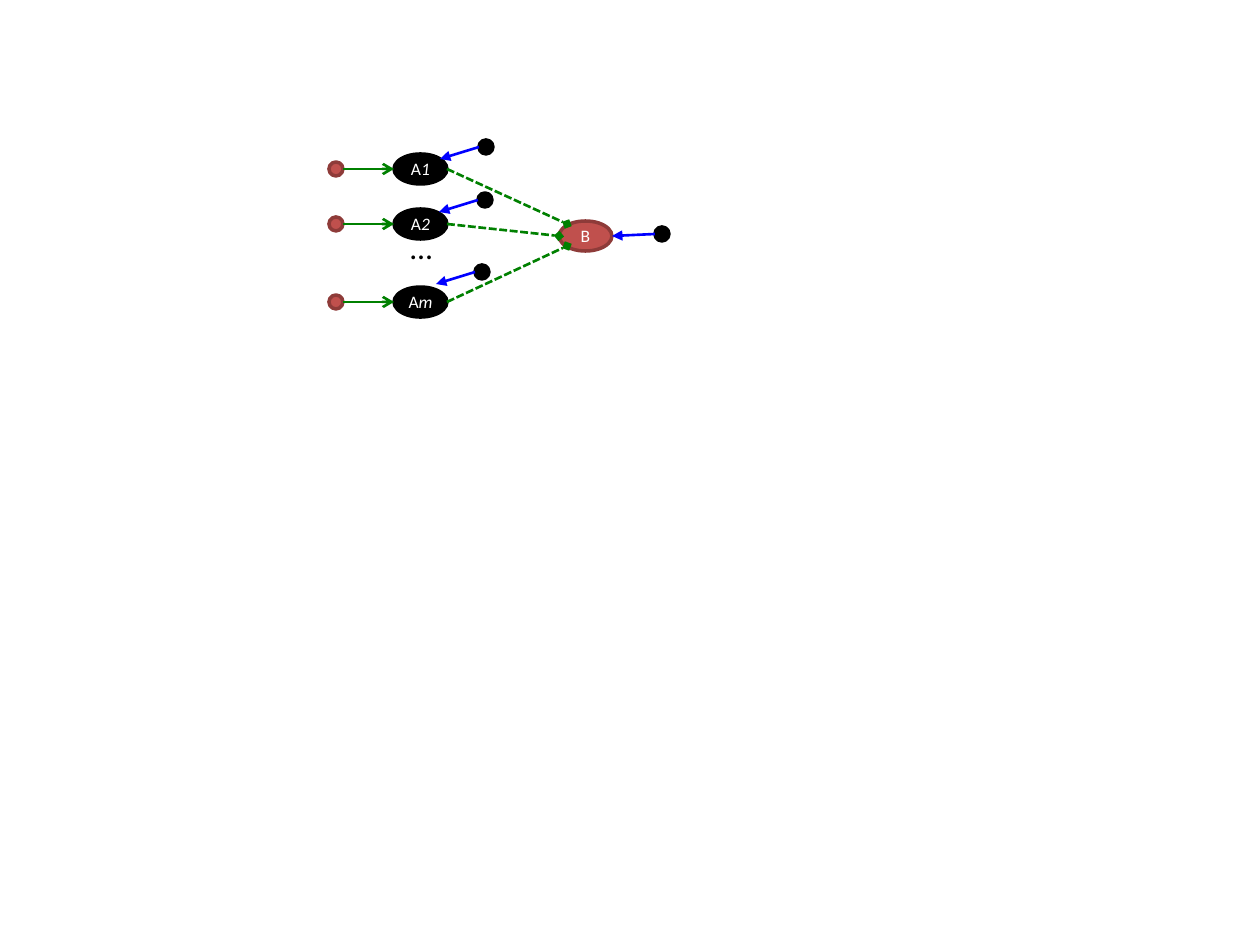
from pptx import Presentation
from pptx.dml.color import RGBColor
from pptx.enum.dml import MSO_LINE
from pptx.enum.shapes import MSO_CONNECTOR, MSO_SHAPE
from pptx.enum.text import MSO_ANCHOR, MSO_AUTO_SIZE, PP_ALIGN
from pptx.oxml.ns import qn
from pptx.util import Inches, Pt
from lxml import etree

PX = Inches(1) / 126
OVAL = MSO_SHAPE.OVAL
LINE = MSO_CONNECTOR.STRAIGHT
DASH = MSO_LINE.SQUARE_DOT
MIDDLE = MSO_ANCHOR.MIDDLE
GROW = MSO_AUTO_SIZE.SHAPE_TO_FIT_TEXT
CENTER = PP_ALIGN.CENTER
FONT = "Calibri"
COLORS = {
    "black": "000000",
    "white": "FFFFFF",
    "red": "C0504D",
    "rim": "8E3B39",
    "green": "008000",
    "blue": "0000FF",
}
NODE_W, NODE_H, DOT = 53, 30, 14
NODE_X, HUB_X, SEED_X = 394, 559, 329
HUB_Y = 236


def emu(px):
    return round(px * PX)


def color(name):
    return RGBColor.from_string(COLORS[name])


def style(run, size, name):
    run.font.name = FONT
    run.font.size = Pt(size)
    run.font.color.rgb = color(name)


def add_oval(slide, x, y, wide, high, fill, rim):
    oval = slide.shapes.add_shape(OVAL, emu(x), emu(y), emu(wide), emu(high))
    oval.shadow.inherit = False
    oval.fill.solid()
    oval.fill.fore_color.rgb = color(fill)
    oval.line.color.rgb = color(rim)
    oval.line.width = Pt(2)
    return oval


def add_node(slide, x, mid, fill, rim, label, index=""):
    node = add_oval(slide, x, mid - NODE_H / 2, NODE_W, NODE_H, fill, rim)
    frame = node.text_frame
    frame.margin_left = frame.margin_right = emu(5)
    frame.margin_top = frame.margin_bottom = 0
    frame.vertical_anchor = MIDDLE
    frame.text = label
    para = frame.paragraphs[0]
    para.alignment = CENTER
    if index:
        tail = para.add_run()
        tail.text = index
        tail.font.italic = True
    for run in para.runs:
        style(run, 10, "white")


def add_dot(slide, x, y, fill, rim):
    add_oval(slide, x, y, DOT, DOT, fill, rim)


def add_arrow(slide, start, end, tint, head, dash=None):
    ends = [emu(v) for v in (*start, *end)]
    arrow = slide.shapes.add_connector(LINE, *ends)
    arrow.line.color.rgb = color(tint)
    arrow.line.width = Pt(1.5)
    if dash:
        arrow.line.dash_style = dash
    props = arrow.line._get_or_add_ln()
    etree.SubElement(props, qn("a:tailEnd"), type=head)
    etree.SubElement(arrow._element.spPr, qn("a:effectLst"))


def add_input(slide, x, y, end):
    add_dot(slide, x, y, "black", "black")
    add_arrow(slide, (x, y + DOT / 2), end, "blue", "triangle")


def add_dots(slide):
    box = slide.shapes.add_textbox(emu(398), emu(222), emu(40), emu(50))
    frame = box.text_frame
    frame.word_wrap = True
    frame.auto_size = GROW
    frame.text = "…"
    style(frame.paragraphs[0].runs[0], 18, "black")


def main():
    deck = Presentation()
    deck.slide_width, deck.slide_height = Inches(10), Inches(7.5)
    slide = deck.slides.add_slide(deck.slide_layouts[6])

    rows = [
        ("1", 169, (479, 140), (567, 224)),
        ("2", 224, (478, 193), (HUB_X, HUB_Y)),
        ("m", 302, (475, 265), (567, 246)),
    ]
    for index, mid, _, _ in rows:
        add_node(slide, NODE_X, mid, "black", "black", "A", index)
        add_dot(slide, SEED_X, mid - DOT / 2, "red", "rim")
        add_arrow(slide, (SEED_X + DOT, mid), (NODE_X, mid), "green", "arrow")
    add_dots(slide)

    add_node(slide, HUB_X, HUB_Y, "red", "rim", "B")
    for _, mid, _, end in rows:
        add_arrow(slide, (NODE_X + NODE_W, mid), end, "green", "diamond", DASH)

    add_input(slide, 655, 227, (HUB_X + NODE_W, HUB_Y))
    for _, _, (x, y), _ in rows:
        add_input(slide, x, y, (x - 39, y + 19))

    deck.save("out.pptx")


if __name__ == "__main__":
    main()
